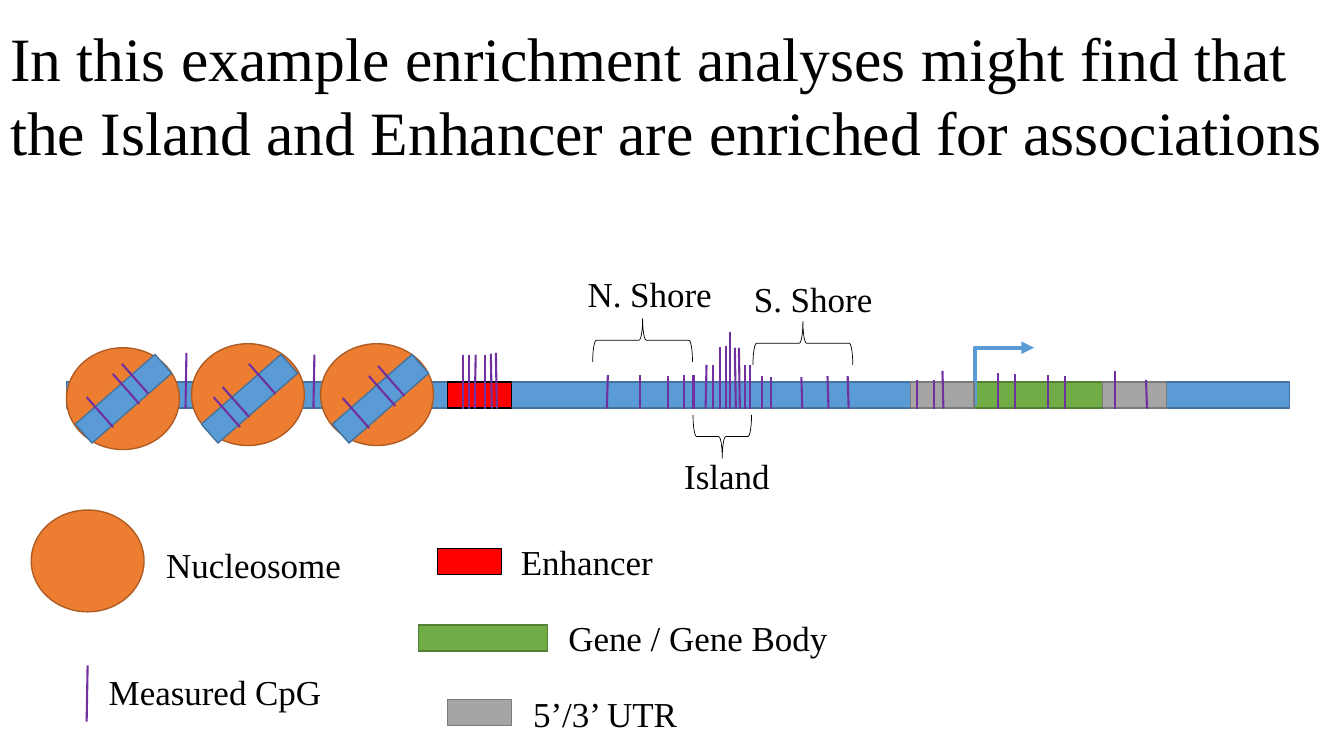
import pptx
import pptx.util
import pptx.dml.color
import pptx.enum.shapes
import pptx.enum.text
import pptx.oxml

Pt = pptx.util.Pt
SHAPE = pptx.enum.shapes.MSO_SHAPE
LINE = pptx.enum.shapes.MSO_CONNECTOR
TEXT = pptx.enum.text
A = 'xmlns:a="http://schemas.openxmlformats.org/drawingml/2006/main"'

BLUE = ("5B9BD5", "43739E")
GREEN = ("70AD47", "538035")
ORANGE = ("ED7D31", "AF5C24")
GRAY = ("A5A5A5", "7A7A7A")
RED = ("FF0000", "000000")
PURPLE, BLACK = "7030A0", "000000"


def rgb(value):
    return pptx.dml.color.RGBColor.from_string(value)


class Diagram:
    font = "Times New Roman"
    bar_top, bar_height = 272.9, 18.7
    tick_bottom = 291.9
    nucleosome_size = (80.6, 72.7)

    def __init__(self, s):
        self.s = s

    def text(self, tf, words, size, wrap):
        formats = dict(word_wrap=wrap, auto_size=TEXT.MSO_AUTO_SIZE.NONE,
                       vertical_anchor=TEXT.MSO_ANCHOR.TOP)
        for name, value in formats.items():
            setattr(tf, name, value)
        p = tf.paragraphs[0]
        p.alignment = TEXT.PP_ALIGN.LEFT
        r = p.add_run()
        r.text = words
        for name, value in dict(name=self.font, size=Pt(size)).items():
            setattr(r.font, name, value)
        r.font.color.rgb = rgb(BLACK)

    def title(self, words, x, y, w, h):
        sp = self.s.shapes.title
        for name, value in dict(left=x, top=y, width=w, height=h).items():
            setattr(sp, name, Pt(value))
        self.text(sp.text_frame, words, 44, True)

    def label(self, words, x, y, w):
        sp = self.s.shapes.add_textbox(Pt(x), Pt(y), Pt(w), Pt(37.4))
        self.text(sp.text_frame, words, 25, False)

    def shape(self, kind, x, y, w, h, colors, rotation=0, weight=1):
        sp = self.s.shapes.add_shape(kind, Pt(x), Pt(y), Pt(w), Pt(h))
        sp.shadow.inherit = False
        sp.rotation = rotation
        fill, line = colors
        if fill:
            sp.fill.solid()
            sp.fill.fore_color.rgb = rgb(fill)
        else:
            sp.fill.background()
        sp.line.color.rgb = rgb(line)
        sp.line.width = Pt(weight)

    def box(self, x, w, colors, y=bar_top):
        self.shape(SHAPE.RECTANGLE, x, y, w, self.bar_height, colors)

    def nucleosome(self, x, y):
        self.shape(SHAPE.OVAL, x, y, *self.nucleosome_size, ORANGE)

    def brace(self, x, y, span, rotation):
        self.shape(SHAPE.LEFT_BRACE, x, y, 31, span, (None, BLACK), rotation, 0.5)

    def line(self, x1, y1, x2, y2, color=PURPLE, weight=1.5, kind=LINE.STRAIGHT):
        c = self.s.shapes.add_connector(kind, Pt(x1), Pt(y1), Pt(x2), Pt(y2))
        c.line.color.rgb = rgb(color)
        c.line.width = Pt(weight)
        c._element.spPr.append(pptx.oxml.parse_xml(f"<a:effectLst {A}/>"))
        return c

    def arrow(self, *ends):
        c = self.line(*ends, BLUE[0], 3, LINE.ELBOW)
        c.line._get_or_add_ln().append(
            pptx.oxml.parse_xml(f'<a:tailEnd {A} type="triangle"/>'))

    def tick(self, x, top, lean=0):
        self.line(x, top, x + lean, self.tick_bottom)


prs = pptx.Presentation()
prs.slide_width, prs.slide_height = Pt(960), Pt(540)
d = Diagram(prs.slides.add_slide(prs.slide_layouts[5]))

d.title("In this example enrichment analyses might find that the Island "
        "and Enhancer are enriched for associations", 0, 10.8, 960, 113.8)

# Genome bar, gene and transcription start
d.box(47.5, 873.4, BLUE)
d.box(695.5, 92.2, GREEN)
d.arrow(654.5, 288.7, 738.7, 248.4)

# Nucleosomes, each with its DNA strip and slanted CpGs
nucleosomes = [
    (47.5, 248.4, 50.4, [(61.9, 283.7), (80.6, 267.1), (87.1, 259.9)]),
    (136.8, 245.5, 140.4, [(152.6, 283.7), (159.1, 276.5), (177.8, 259.9)]),
    (229, 245.5, 234, [(244.8, 284.4), (263.5, 268.6), (270, 261.4)]),
]
for x, y, strip_x, cpgs in nucleosomes:
    d.nucleosome(x, y)
    d.shape(SHAPE.RECTANGLE, strip_x, 275.8, 75.6, 18, BLUE, 318.8)
    for cpg_x, cpg_y in cpgs:
        d.line(cpg_x, cpg_y, cpg_x + 18.9, cpg_y + 21.4)

# Untranslated regions and enhancer
for x, colors in [(787.7, GRAY), (650.2, GRAY), (319.7, RED)]:
    d.box(x, 45.7, colors)

# Measured CpGs: x, top and optional lean
regions = {
    "linkers": [(133.2, 252, -.7), (224.6, 253.4, -.7)],
    "enhancer": [(330.5, 253.4), (334.8, 253.4), (339.8, 253.4, -.7),
                 (346.3, 253.4), (350.6, 252.7, .7), (354.2, 252, .7)],
    "north shore": [(434.2, 267.8, -.7), (457.2, 267.8), (477.4, 268.6),
                    (488.9, 267.8), (495.4, 267.8)],
    "island": [(504.7, 260.6, -.7), (509, 260.6), (514.1, 247.7),
               (518.4, 247), (521.3, 236.9), (524.9, 248.4, .7),
               (527.8, 248.4, .7), (532.1, 260.6), (535.7, 260.6)],
    "south shore": [(544.3, 268.6), (550.8, 269.3), (572.4, 269.3, .7),
                    (591.1, 268.6, .7), (605.5, 268.6, .7)],
    "5' UTR": [(655.2, 271.4), (667.4, 271.4), (673.2, 265, .7)],
    "gene": [(712.8, 266.4), (725, 267.1), (748.8, 267.8), (761, 268.6)],
    "3' UTR": [(796.3, 265), (818.6, 271.4, .7)],
}
for cpgs in regions.values():
    for cpg in cpgs:
        d.tick(*cpg)

# Braces over the shores and under the island
d.brace(443.5, 207.4, 71.3, 90)
d.brace(558, 209.5, 71.3, 90)
d.brace(500.4, 290.9, 41.8, 270)

# Legend symbols
d.nucleosome(22.3, 364.3)
d.line(62.6, 475.2, 61.9, 515.5)
for x, y, w, colors in [(312.5, 391.7, 45.7, RED), (298.8, 446.4, 92.2, GREEN),
                        (319.7, 499.7, 45.7, GRAY)]:
    d.box(x, w, colors, y)

# Labels
for label in [
    ("N. Shore", 412.6, 190.8, 104.4),
    ("S. Shore", 531.4, 194.4, 100.1),
    ("Island", 481.7, 321.1, 76.3),
    ("Nucleosome", 111.6, 384.5, 142.6),
    ("Measured CpG", 70.6, 475.2, 168.5),
    ("Enhancer", 365, 382.3, 110.9),
    ("Gene / Gene Body", 398.9, 437, 201.6),
    ("5’/3’ UTR", 373.7, 491, 118.8),
]:
    d.label(*label)

prs.save("out.pptx")
